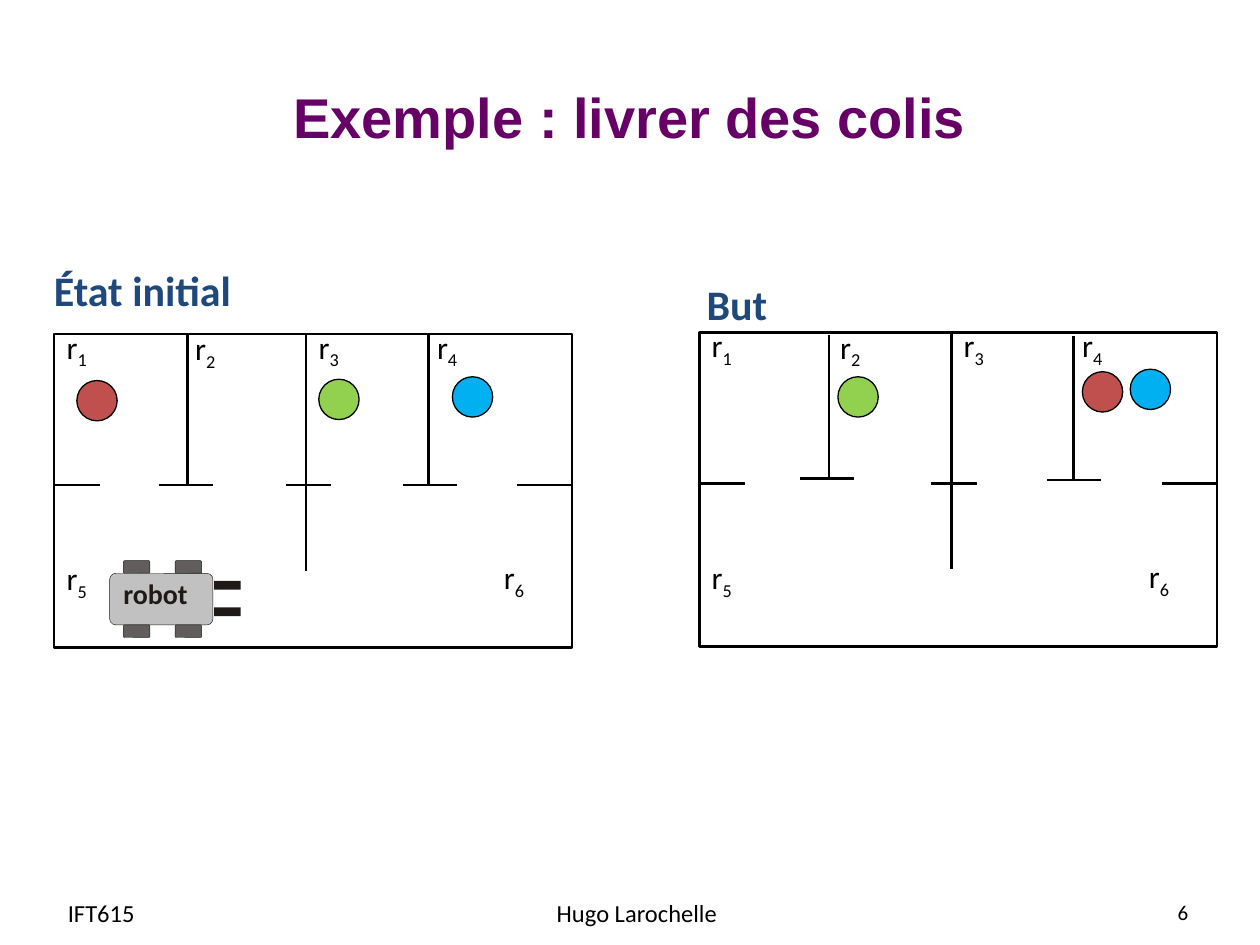
import pptx
import pptx.dml.color
import pptx.enum.shapes
import pptx.enum.text
import pptx.oxml.ns
import pptx.util
from lxml import etree

Inches = pptx.util.Inches
Kind = pptx.enum.shapes.MSO_SHAPE
Align = pptx.enum.text.PP_ALIGN
Anchor = pptx.enum.text.MSO_ANCHOR
Fit = pptx.enum.text.MSO_AUTO_SIZE

COLORS = {
    "title": "660066", "head": "1F497D", "black": "000000",
    "red": "C0504D", "green": "92D050", "blue": "00B0F0",
    "body": "C2C1C1", "wheel": "605D5C", "dark": "1F1A17",
}

# Offsets inside a floor plan, the same for both plans
SIZE = (4.11, 2.49)
BALL = 0.32
WALLS = [(2, 0, 2, 1.88), (0, 1.2, 0.36, 1.2),
         (3.67, 1.2, 4.11, 1.2), (1.84, 1.2, 2.2, 1.2)]
ROOMS = [(0, -0.1), (1.02, -0.09), (2, -0.1),
         (2.94, -0.1), (0, 1.74), (3.47, 1.73)]


def color(name):
    return pptx.dml.color.RGBColor.from_string(COLORS[name])


def apply(obj, values):
    for key, value in values.items():
        setattr(obj, key, value)


def add_text(slide, box, parts, size, hue="black", font="Calibri",
             bold=False, align=Align.LEFT, frame=None):
    """Place one line of text; parts holds (text, is_subscript) pairs."""
    shape = slide.shapes.add_textbox(*map(Inches, box))
    apply(shape.text_frame, frame or {"word_wrap": False,
                                      "auto_size": Fit.SHAPE_TO_FIT_TEXT})
    para = shape.text_frame.paragraphs[0]
    para.alignment = align
    for text, sub in parts:
        run = para.add_run()
        run.text = text
        apply(run.font, {"name": font, "size": pptx.util.Pt(size), "bold": bold})
        run.font.color.rgb = color(hue)
        if sub:
            run.font._element.set("baseline", "-25000")


def add_shape(slide, kind, box, fill=None, line=None, width=0.75, round_by=None):
    shape = slide.shapes.add_shape(kind, *map(Inches, box))
    shape.shadow.inherit = False
    if fill:
        shape.fill.solid()
        shape.fill.fore_color.rgb = color(fill)
    else:
        shape.fill.background()
    if line:
        shape.line.color.rgb = color(line)
        shape.line.width = pptx.util.Pt(width)
    else:
        shape.line.fill.background()
    if round_by is not None:
        shape.adjustments[0] = round_by


def add_wall(slide, left, top, wall):
    x1, y1, x2, y2 = wall
    line = slide.shapes.add_connector(
        pptx.enum.shapes.MSO_CONNECTOR.STRAIGHT,
        Inches(left + x1), Inches(top + y1), Inches(left + x2), Inches(top + y2))
    line.line.color.rgb = color("black")
    line.line.width = pptx.util.Pt(1.5)
    etree.SubElement(line._element.spPr, pptx.oxml.ns.qn("a:effectLst"))


def add_plan(slide, left, top, tees, balls):
    """Draw the rooms; a tee is (bar x, stem x, stem top, bar y)."""
    add_shape(slide, Kind.RECTANGLE, (left, top, *SIZE), line="black", width=1.5)
    for wall in WALLS:
        add_wall(slide, left, top, wall)
    for bar, stem, start, depth in tees:
        add_wall(slide, left, top, (bar, depth, bar + 0.43, depth))
        add_wall(slide, left, top, (stem, start, stem, depth))
    for num, (x, y) in enumerate(ROOMS, 1):
        add_text(slide, (left + x, top + y, 0.51, 0.62),
                 [("r", False), (str(num), True)], 18)
    for hue, x, y in balls:
        add_shape(slide, Kind.OVAL, (left + x, top + y, BALL, BALL), hue, "black")


def add_robot(slide, left, top):
    # Body, four wheels and two arms
    add_shape(slide, Kind.ROUNDED_RECTANGLE, (left, top + 0.1, 0.82, 0.41),
              "body", "dark", 0.25, 0.12)
    for y in (0, 0.51):
        for x in (0.11, 0.52):
            add_shape(slide, Kind.ROUNDED_RECTANGLE,
                      (left + x, top + y, 0.21, 0.1), "wheel", "dark", 0.25, 0.1)
    for y in (0.16, 0.37):
        add_shape(slide, Kind.RECTANGLE, (left + 0.83, top + y, 0.21, 0.07), "dark")
    add_text(slide, (left + 0.11, top + 0.13, 0.57, 0.27), [("robot", False)], 16,
             "dark", bold=True,
             frame={"word_wrap": False, "auto_size": Fit.SHAPE_TO_FIT_TEXT,
                    "margin_left": 0, "margin_right": 0,
                    "margin_top": 0, "margin_bottom": 0})


def main():
    deck = pptx.Presentation()
    apply(deck, {"slide_width": Inches(10), "slide_height": Inches(7.5)})
    slide = deck.slides.add_slide(deck.slide_layouts[6])
    middle = {"word_wrap": True, "vertical_anchor": Anchor.MIDDLE}

    # Title and plan headings
    add_text(slide, (0.5, 0.3, 9, 1.25), [("Exemple : livrer des colis", False)],
             32, "title", "Arial", True, Align.CENTER, middle)
    for text, box in (("État initial", (0.33, 2.05, 1.63, 0.5)),
                      ("But", (5.51, 2.16, 0.69, 0.5))):
        add_text(slide, box, [(text, False)], 24, "head", bold=True)

    # Start and goal plans
    add_plan(slide, 0.43, 2.65,
             [(0.83, 1.06, 0.01, 1.2), (2.77, 2.97, 0, 1.2)],
             [("blue", 3.16, 0.34), ("green", 2.1, 0.36), ("red", 0.18, 0.37)])
    add_plan(slide, 5.55, 2.64,
             [(0.8, 1.03, 0.02, 1.16), (2.76, 2.97, 0.03, 1.17)],
             [("red", 3.04, 0.31), ("green", 1.1, 0.35), ("blue", 3.42, 0.29)])
    add_robot(slide, 0.87, 4.45)

    # Footer
    for text, left, width, size, align in (
            ("IFT615", 0.44, 1.93, 14, Align.LEFT),
            ("6", 7.2, 2.33, 12, Align.RIGHT),
            ("Hugo Larochelle", 3.47, 3.17, 14, Align.CENTER)):
        add_text(slide, (left, 7.04, width, 0.4), [(text, False)], size,
                 align=align, frame=middle)

    deck.save("out.pptx")


if __name__ == "__main__":
    main()
